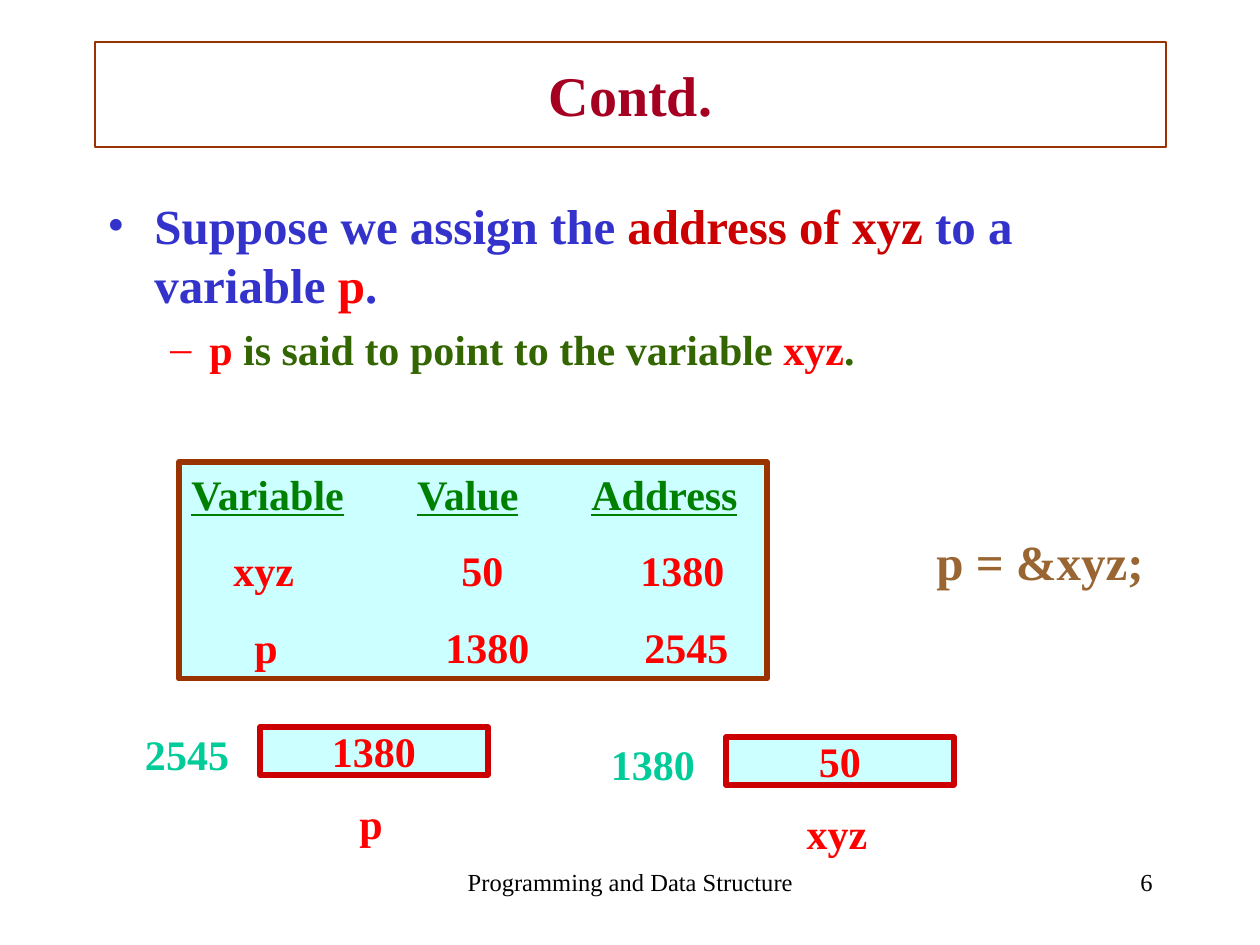
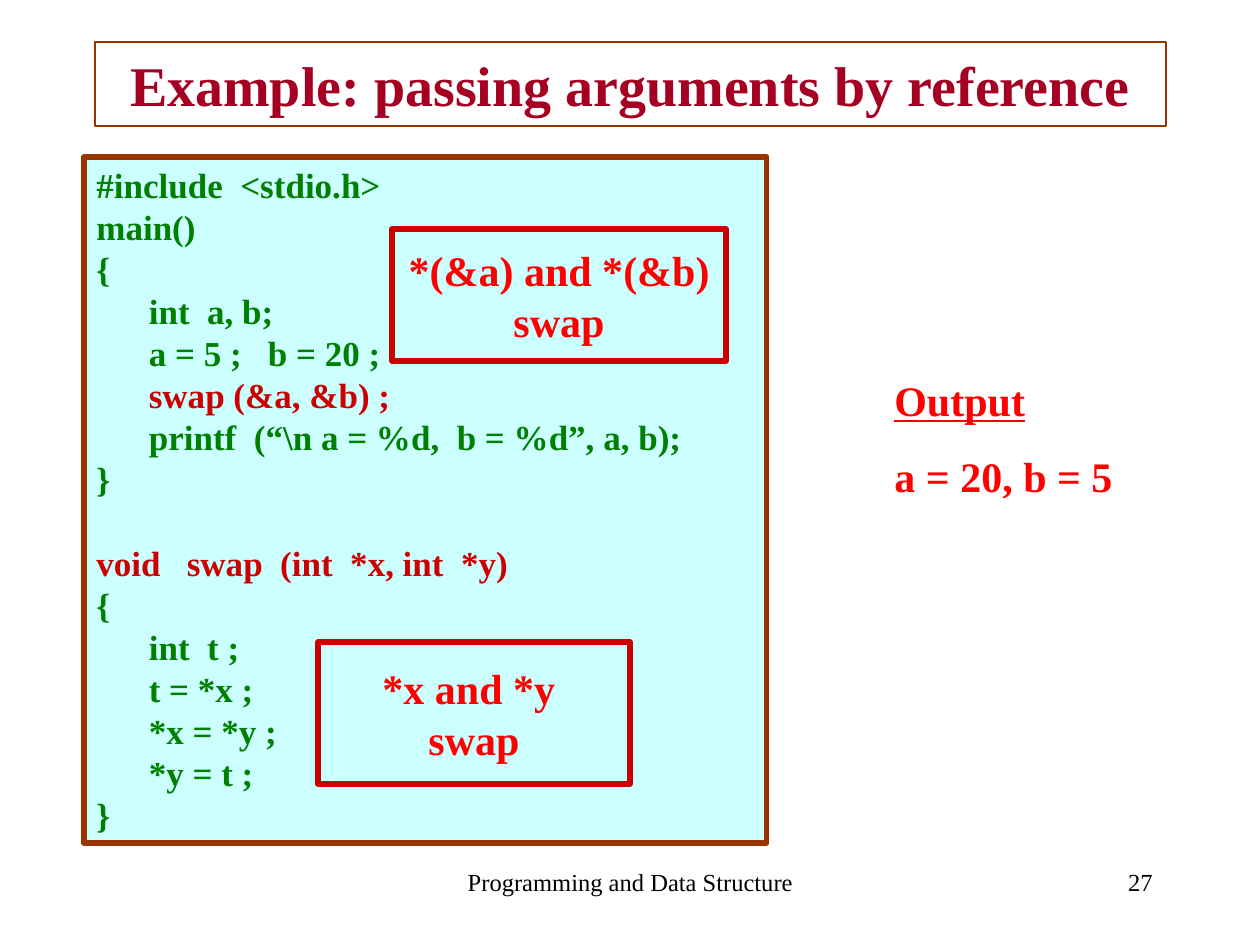
from lxml import etree
from pptx import Presentation
from pptx.dml.color import RGBColor
from pptx.enum.shapes import MSO_SHAPE
from pptx.enum.text import MSO_ANCHOR, PP_ALIGN
from pptx.oxml.ns import qn
from pptx.util import Pt

RECT = MSO_SHAPE.RECTANGLE
TOP, MID = MSO_ANCHOR.TOP, MSO_ANCHOR.MIDDLE
LEFT, MIDDLE, RIGHT = PP_ALIGN.LEFT, PP_ALIGN.CENTER, PP_ALIGN.RIGHT

# Shared look
FONT = "Times New Roman"
BLUE, RED, DEEP = "3333CC", "FF0000", "CC0000"
GREEN, OLIVE, TEAL = "008000", "336600", "00CC99"
WINE, BROWN, TAN = "A50021", "993300", "996633"
PALE, BLACK = "CCFFFF", "000000"
FOOT = "Programming and Data Structure"
BLANK = 6

MAIN = """#include  <stdio.h>
main()
{
      int  a, b;
      a = 5 ;   b = 20 ;
      swap (&a, &b) ;
      printf  (“\\n a = %d,  b = %d”, a, b);
}"""
SWAP = """void   swap  (int  *x, int  *y)
{
      int  t ;
      t = *x ;
      *x = *y ;
      *y = t ;
}"""


def px(n):
    return round(n * 914400 / 126)


def color(code):
    return RGBColor.from_string(code)


def style(size, tint, bold=True, line=False):
    """Format values of a run."""
    return {"name": FONT, "size": Pt(size), "bold": bold,
            "underline": line, "color": tint}


def write(para, text, form):
    """Add one run in the given format."""
    run = para.add_run()
    run.text = text
    for key, value in form.items():
        if key == "color":
            run.font.color.rgb = color(value)
        else:
            setattr(run.font, key, value)


def fill_text(shape, lines, align=LEFT, anchor=TOP, wrap=True, gap=0):
    """Write lines, each a list of (text, format) runs."""
    frame = shape.text_frame
    frame.word_wrap = wrap
    frame.vertical_anchor = anchor
    paras = []
    for i, line in enumerate(lines):
        para = frame.add_paragraph() if i else frame.paragraphs[0]
        para.alignment = align
        if i and gap:
            para.space_before = Pt(gap)
        for text, form in line:
            write(para, text, form)
        paras.append(para)
    return paras


def label(on, at, lines, **more):
    """Plain text box."""
    box = on.add_textbox(*map(px, at))
    return fill_text(box, lines, **more)


def panel(on, at, lines, edge, width=3, fill=PALE, **more):
    """Framed rectangle with text."""
    box = on.add_shape(RECT, *map(px, at))
    box.shadow.inherit = False
    if fill:
        box.fill.solid()
        box.fill.fore_color.rgb = color(fill)
    else:
        box.fill.background()
    box.line.color.rgb = color(edge)
    box.line.width = Pt(width)
    return fill_text(box, lines, **more)


def bullet(para, mark, tint, left, hang):
    """Hanging bullet; left and hang are in px."""
    prop = para._p.get_or_add_pPr()
    prop.set("marL", str(px(left)))
    prop.set("indent", str(-px(hang)))
    shade = etree.SubElement(prop, qn("a:buClr"))
    etree.SubElement(shade, qn("a:srgbClr"), val=tint)
    etree.SubElement(prop, qn("a:buFont"), typeface=FONT)
    etree.SubElement(prop, qn("a:buChar"), char=mark)


def tabs(para, stops):
    """Left tab stops in px."""
    group = etree.SubElement(para._p.get_or_add_pPr(), qn("a:tabLst"))
    for stop in stops:
        etree.SubElement(group, qn("a:tab"), pos=str(px(stop)), algn="l")


def start(deck, title, high, page):
    """New slide with title band and footer."""
    on = deck.slides.add_slide(deck.slide_layouts[BLANK]).shapes
    small = style(14, BLACK, bold=False)
    label(on, (431, 861, 399, 63), [[(FOOT, small)]], align=MIDDLE)
    label(on, (903, 861, 262, 63), [[(str(page), small)]], align=RIGHT)
    panel(on, (95, 42, 1071, high), [[(title, style(32, WINE))]], BROWN,
          width=0.75, fill=None, align=MIDDLE, anchor=MID)
    return on


def cell(on, x, y, value, place, name):
    """Memory cell: address on the left, variable name below."""
    part = on.add_group_shape().shapes
    form = style(24, RED)
    more = {"align": MIDDLE, "wrap": False}
    panel(part, (x, y, 228, 48), [[(value, form)]], DEEP, anchor=MID, **more)
    label(part, (x - 137, y - 5, 128, 63), [[(place, style(24, TEAL))]],
          **more)
    label(part, (x + 63, y + 64, 96, 63), [[(name, form)]], **more)


def grid(on):
    """Variables with their values and addresses, set on tab stops."""
    head, red = style(24, GREEN, line=True), style(24, RED)
    rows = [(("Variable", "Value", "Address"), (226, 400), head),
            (("xyz", "50", "1380"), (42, 270, 449), red),
            (("p", "1380", "2545"), (63, 254, 453), red)]
    lines = []
    for words, stops, form in rows:
        line = []
        for i, word in enumerate(words):
            if i or len(stops) == len(words):
                line.append(("\t", red))
            line.append((word, form))
        lines.append(line)
    paras = panel(on, (179, 462, 588, 217), lines, BROWN, gap=15)
    for para, row in zip(paras, rows):
        tabs(para, row[1])


def point(deck):
    """Slide on the address held in p."""
    on = start(deck, "Contd.", 105, 6)
    blue, red = style(28, BLUE), style(24, RED)
    olive = style(24, OLIVE)
    first, second = label(on, (95, 189, 1071, 651), [
        [("Suppose we assign the ", blue),
         ("address of xyz", style(28, DEEP)), (" to a variable ", blue),
         ("p", style(28, RED)), (".", blue)],
        [("p", red), (" is said to point to the variable ", olive),
         ("xyz", red), (".", olive)]], gap=6)
    bullet(first, "•", BLUE, 47, 47)
    bullet(second, "–", RED, 102, 39)
    grid(on)
    label(on, (914, 525, 252, 72), [[("p = &xyz;", style(28, TAN))]],
          align=MIDDLE)
    cell(on, 726, 737, "50", "1380", "xyz")
    cell(on, 260, 727, "1380", "2545", "p")


def swap(deck):
    """Slide with the swap program."""
    on = start(deck, "Example: passing arguments by reference", 84, 27)
    main_part, swap_part = MAIN.split("\n"), SWAP.split("\n")
    lines = [[(text, style(20, DEEP if "swap" in text else GREEN))]
             for text in main_part + swap_part]
    paras = panel(on, (84, 157, 683, 686), lines, BROWN)
    paras[len(main_part)].space_before = Pt(24)
    red = style(24, RED)
    label(on, (882, 368, 315, 140),
          [[("Output", style(24, RED, line=True))], [("a = 20, b = 5", red)]],
          gap=15)
    for at, text in (((318, 642, 312, 142), "*x and *y "),
                     ((392, 229, 334, 132), "*(&a) and *(&b)")):
        panel(on, at, [[(text, red)], [("swap", red)]], DEEP,
              align=MIDDLE, anchor=MID, wrap=False)


def main():
    deck = Presentation()
    deck.slide_width, deck.slide_height = px(1260), px(945)
    point(deck)
    swap(deck)
    deck.save("out.pptx")


if __name__ == "__main__":
    main()
